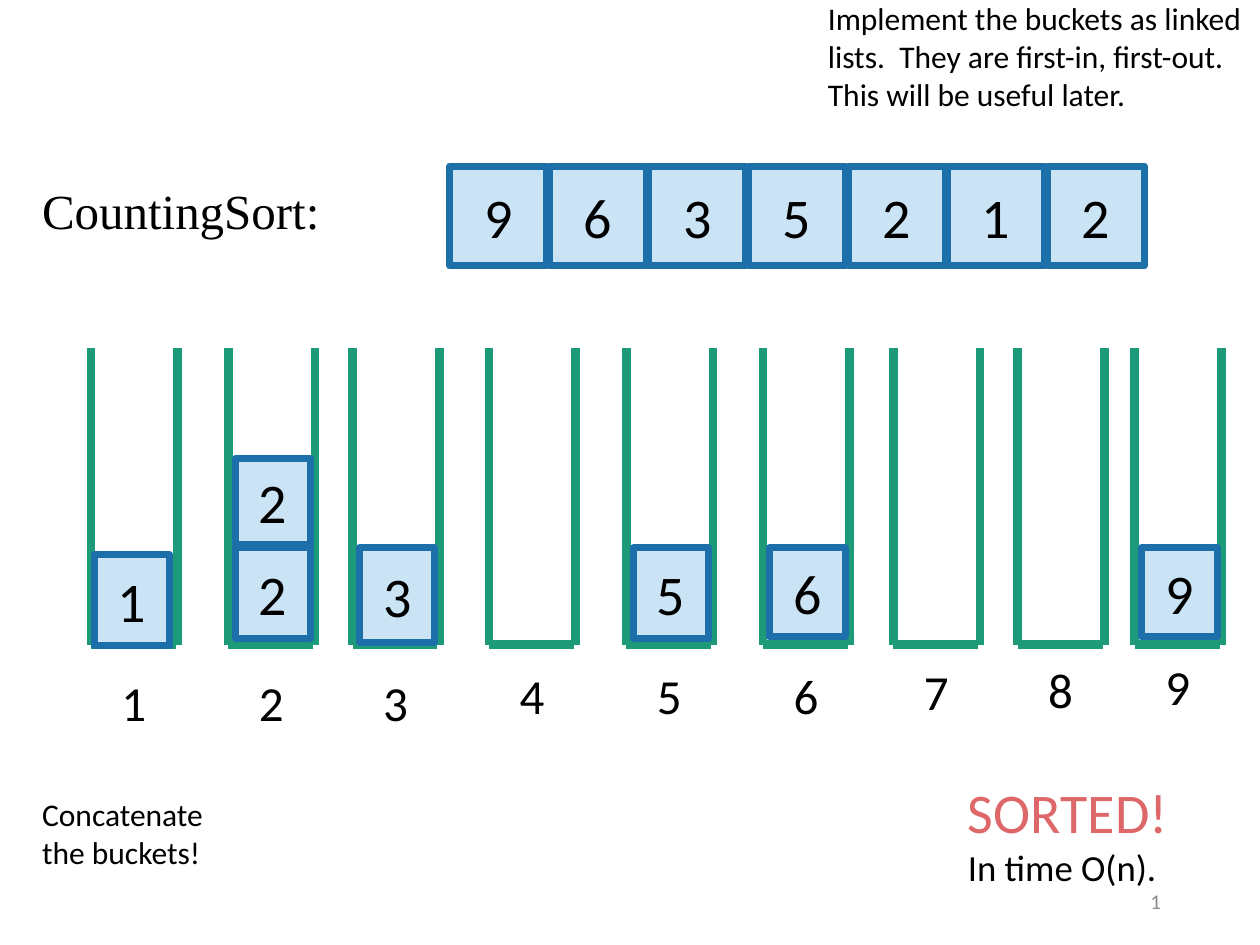
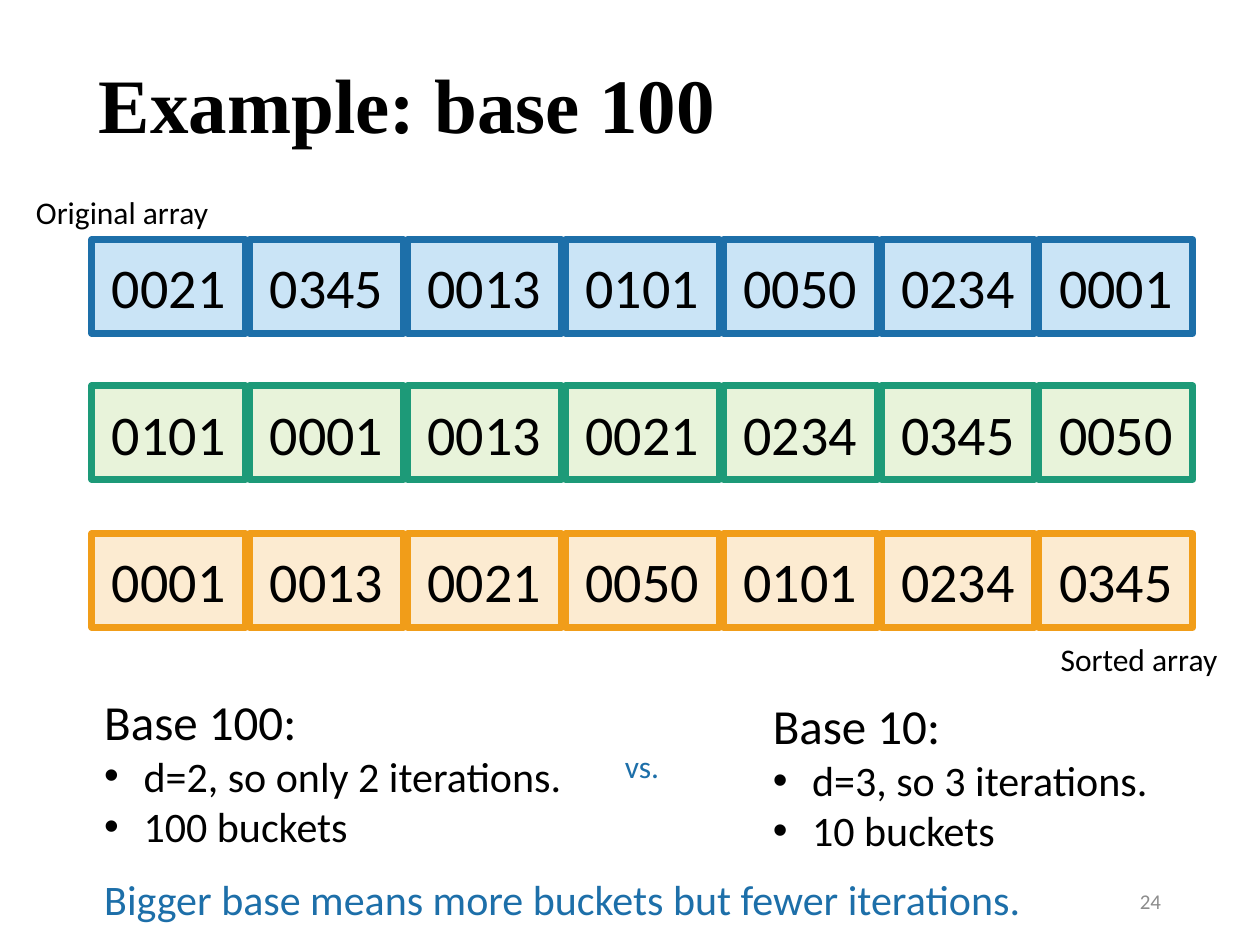
from lxml.etree import SubElement
from pptx import Presentation
from pptx.dml.color import RGBColor
from pptx.enum.shapes import MSO_CONNECTOR as Connector, MSO_SHAPE as Shape
from pptx.enum.text import MSO_ANCHOR as Anchor, PP_ALIGN as Align
from pptx.oxml.ns import qn
from pptx.util import Pt

# Shared colours and text styles
rgb = RGBColor.from_string
BLACK, GREY, RED = "000000", "8C8C8C", "DE6769"
BLUE, GREEN, ORANGE = "1D6FA9", "1D9A78", "F19D19"
CELL_FILLS = {BLUE: "CAE4F6", GREEN: "E8F3DA", ORANGE: "FCEBD1"}
SANS, SERIF = "Calibri", "Times New Roman"

STYLES = {
    "title": {"name": SERIF, "size": Pt(44), "bold": True},
    "heading": {"name": SERIF, "size": Pt(28)},
    "cell": {"name": SANS, "size": Pt(32)},
    "label": {"name": SANS, "size": Pt(28)},
    "bullet": {"name": SANS, "size": Pt(24)},
    "conclusion": {"name": SANS, "size": Pt(24)},
    "result": {"name": SANS, "size": Pt(21)},
    "note": {"name": SANS, "size": Pt(18)},
    "number": {"name": SANS, "size": Pt(12)},
}


def write(shape, lines, align=Align.LEFT, anchor=Anchor.TOP, wrap=True):
    """Fill a shape with (text, style, colour) paragraphs."""
    frame = shape.text_frame
    frame.word_wrap = wrap
    frame.vertical_anchor = anchor
    for index, (text, style, colour) in enumerate(lines):
        paragraph = frame.paragraphs[0] if index == 0 else frame.add_paragraph()
        paragraph.alignment = align
        if style in ("title", "heading"):
            paragraph.line_spacing = 0.9
        if style == "bullet":
            properties = paragraph._p.get_or_add_pPr()
            properties.set("marL", str(Pt(22.5)))
            properties.set("indent", str(-Pt(22.5)))
            SubElement(properties, qn("a:buFont"), typeface="Arial")
            SubElement(properties, qn("a:buChar"), char="•")
        run = paragraph.add_run()
        run.text = text
        run.font.color.rgb = rgb(colour)
        for attribute, value in STYLES[style].items():
            setattr(run.font, attribute, value)


def add_cell(slide, left, top, width, height, text, colour=BLUE):
    """Draw one array element."""
    cell = slide.shapes.add_shape(
        Shape.RECTANGLE, Pt(left), Pt(top), Pt(width), Pt(height))
    cell.shadow.inherit = False
    cell.fill.solid()
    cell.fill.fore_color.rgb = rgb(CELL_FILLS[colour])
    cell.line.color.rgb = rgb(colour)
    cell.line.width = Pt(4)
    write(cell, [(text, "cell", BLACK)], Align.CENTER, Anchor.MIDDLE)


presentation = Presentation()
presentation.slide_width, presentation.slide_height = Pt(720), Pt(540)
blank = presentation.slide_layouts[6]
counting_slide = presentation.slides.add_slide(blank)
radix_slide = presentation.slides.add_slide(blank)

# Counting sort: input array
for column, digit in enumerate("9635212"):
    add_cell(counting_slide, 257 + 56.9 * column, 95, 55.5, 57, digit)

# Counting sort: buckets as (left, label top, cells)
# Each cell is (offset from the bucket's left, top, height)
BUCKET_TOP, BUCKET_BOTTOM, BUCKET_WIDTH = 199, 368.5, 49.5
buckets = [
    (52, 381, [(2, 317, 52)]),
    (130.5, 381, [(4, 313, 52), (4, 262, 49)]),
    (201.5, 381, [(4, 313, 54)]),
    (279.5, 376.5, []),
    (358, 376.5, [(4, 313, 52)]),
    (436, 376.5, [(4, 313, 51)]),
    (510.5, 374.5, []),
    (581.5, 373.5, []),
    (648.5, 371.5, [(4, 313, 51)]),
]
for number, (left, label_top, cells) in enumerate(buckets, start=1):
    right = left + BUCKET_WIDTH
    walls = [
        (left, BUCKET_TOP, left, BUCKET_BOTTOM),
        (right, BUCKET_TOP, right, BUCKET_BOTTOM),
        (right - 1, BUCKET_BOTTOM, left, BUCKET_BOTTOM),
    ]
    for wall in walls:
        line = counting_slide.shapes.add_connector(
            Connector.STRAIGHT, *[Pt(length) for length in wall])
        line.line.color.rgb = rgb(GREEN)
        line.line.width = Pt(5)
        SubElement(line._element.spPr, qn("a:effectLst"))
    label = counting_slide.shapes.add_textbox(
        Pt(left + 10), Pt(label_top), Pt(29), Pt(41))
    write(label, [(str(number), "label", BLACK)], Align.CENTER, wrap=False)
    for offset, top, height in cells:
        add_cell(counting_slide, left + offset, top, 43, height, str(number))

# Base 100: the array before, between and after the two passes
passes = [
    (137, BLUE, "0021 0345 0013 0101 0050 0234 0001"),
    (220.5, GREEN, "0101 0001 0013 0021 0234 0345 0050"),
    (305, ORANGE, "0001 0013 0021 0050 0101 0234 0345"),
]
for top, colour, values in passes:
    for column, value in enumerate(values.split()):
        add_cell(radix_slide, 52.5 + 90.2 * column, top, 88, 53.5, value, colour)

# Plain text on both slides: (slide, (left, top, width, height), lines)
texts = [
    (counting_slide, (17, 103.5, 194, 40), [("CountingSort:", "heading", BLACK)]),
    (counting_slide, (546, 440.5, 150, 71), [
        ("SORTED!", "cell", RED),
        ("In time O(n).", "result", BLACK)]),
    (counting_slide, (466, -4, 258.5, 73), [
        ("Implement the buckets as linked lists.  They are first-in, "
         "first-out. This will be useful later.", "note", BLACK)]),
    (counting_slide, (17, 451, 119.5, 51), [
        ("Concatenate the buckets!", "note", BLACK)]),
    (radix_slide, (52.5, 391.5, 330, 99), [
        ("Base 100:", "label", BLACK),
        ("d=2, so only 2 iterations.", "bullet", BLACK),
        ("100 buckets", "bullet", BLACK)]),
    (radix_slide, (434.5, 394, 250, 99), [
        ("Base 10:", "label", BLACK),
        ("d=3, so 3 iterations.", "bullet", BLACK),
        ("10 buckets", "bullet", BLACK)]),
    (radix_slide, (350, 423.5, 47.5, 29), [("vs.", "note", BLUE)]),
    (radix_slide, (52.5, 495.5, 626, 36), [
        ("Bigger base means more buckets but fewer iterations.",
         "conclusion", BLUE)]),
    (radix_slide, (13.5, 106.5, 160, 29), [("Original array", "note", BLACK)]),
    (radix_slide, (599, 362, 120, 29), [("Sorted array", "note", BLACK)]),
]
for slide, box, lines in texts:
    write(slide.shapes.add_textbox(*[Pt(length) for length in box]), lines)

# Title
title = radix_slide.shapes.add_textbox(Pt(49.5), Pt(29), Pt(621), Pt(65.5))
write(title, [("Example: base 100", "title", BLACK)], anchor=Anchor.MIDDLE)

# Slide numbers
for slide, number in [(counting_slide, "1"), (radix_slide, "24")]:
    footer = slide.shapes.add_textbox(Pt(508.5), Pt(500.5), Pt(162), Pt(29))
    write(footer, [(number, "number", GREY)], Align.RIGHT, Anchor.MIDDLE)

presentation.save("out.pptx")
